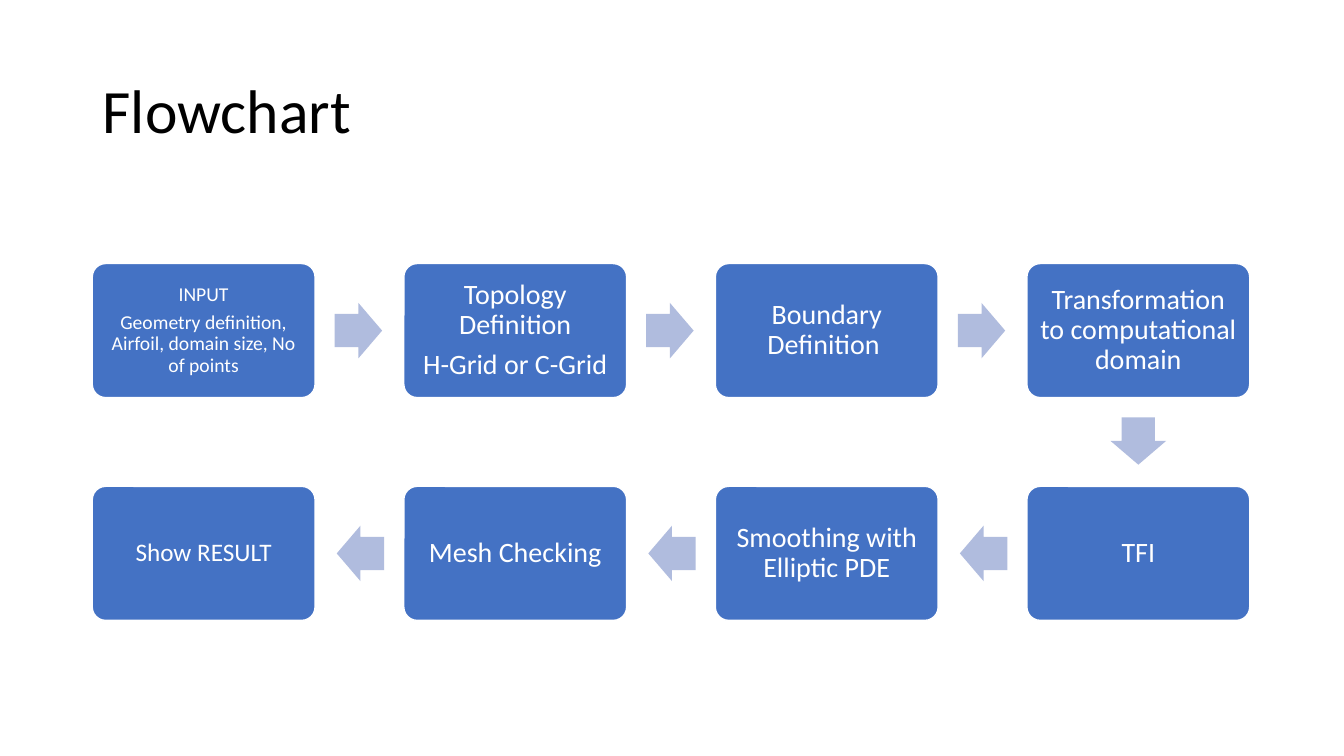
from dataclasses import dataclass

from pptx import Presentation
from pptx import util as u
from pptx.dml.color import RGBColor
from pptx.enum import shapes, text


@dataclass(frozen=True)
class Theme:
    font: str = "Calibri"
    ink: str = "000000"
    paper: str = "FFFFFF"
    box: str = "4472C4"
    arrow: str = "B0BCDE"
    title: int = 44
    large: int = 20
    mid: int = 18
    small: int = 14


def write(frame, lines, *, font, size, color, align, pad=(0.1, 0.05)):
    """Fill a text frame with one paragraph per line."""
    frame.word_wrap = True
    frame.vertical_anchor = text.MSO_ANCHOR.MIDDLE
    frame.margin_left = frame.margin_right = u.Inches(pad[0])
    frame.margin_top = frame.margin_bottom = u.Inches(pad[1])
    for i, line in enumerate(lines):
        para = frame.add_paragraph() if i else frame.paragraphs[0]
        para.alignment = align
        para.line_spacing = 0.9
        para.space_before = u.Pt(0.35 * size if i else 0)
        run = para.add_run()
        run.text = line
        run.font.name = font
        run.font.size = u.Pt(size)
        run.font.color.rgb = RGBColor.from_string(color)


class Chart:
    """A flowchart on a grid; steps sit at the centre of (column, row)."""
    START = (2.02, 3.28)   # centre of the first step
    PITCH = (3.09, 2.21)   # column and row distance
    BOX = (2.21, 1.33)
    ARROW = (0.47, 0.55)
    LAG = 0.01             # arrows sit slightly nearer their source

    def __init__(self, slide, theme):
        self.slide, self.theme = slide, theme

    def spot(self, cell):
        return [s + p * c for s, p, c in zip(self.START, self.PITCH, cell)]

    def shape(self, kind, mid, size, fill, adjust):
        left, top = (m - s / 2 for m, s in zip(mid, size))
        item = self.slide.shapes.add_shape(
            kind, *(u.Inches(n) for n in (left, top, *size)))
        item.shadow.inherit = False
        item.fill.solid()
        item.fill.fore_color.rgb = RGBColor.from_string(fill)
        item.line.fill.background()
        for i, value in enumerate(adjust):
            item.adjustments[i] = value
        return item

    def title(self, words):
        box = self.slide.shapes.add_textbox(
            *(u.Inches(n) for n in (0.92, 0.4, 11.5, 1.45)))
        t = self.theme
        write(box.text_frame, [words], font=t.font, size=t.title,
              color=t.ink, align=text.PP_ALIGN.LEFT)

    def step(self, cell, lines, size):
        t = self.theme
        box = self.shape(shapes.MSO_SHAPE.ROUNDED_RECTANGLE, self.spot(cell),
                         self.BOX, t.box, [0.1])
        box.line.color.rgb = RGBColor.from_string(t.paper)
        box.line.width = u.Pt(1)
        pad = size * 0.004
        write(box.text_frame, lines, font=t.font, size=size, color=t.paper,
              align=text.PP_ALIGN.CENTER, pad=(pad, pad))

    def arrow(self, start, end):
        way = (end[0] - start[0], end[1] - start[1])
        mid = [(a + b) / 2 - self.LAG * w for a, b, w in
               zip(self.spot(start), self.spot(end), way)]
        item = self.shape(shapes.MSO_SHAPE.RIGHT_ARROW, mid, self.ARROW,
                          self.theme.arrow, [0.6, 0.5])
        item.rotation = {(1, 0): 0, (0, 1): 90, (-1, 0): 180}[way]


def main():
    deck = Presentation()
    deck.slide_width, deck.slide_height = u.Inches(13.33), u.Inches(7.5)
    theme = Theme()
    chart = Chart(deck.slides.add_slide(deck.slide_layouts[6]), theme)

    # Heading
    chart.title("Flowchart")

    # Steps in order of flow
    steps = [
        (["INPUT", "Geometry definition, Airfoil, domain size, No of points"],
         theme.small),
        (["Topology Definition", "H-Grid or C-Grid"], theme.large),
        (["Boundary Definition "], theme.large),
        (["Transformation to computational domain"], theme.large),
        (["TFI"], theme.large),
        (["Smoothing with Elliptic PDE"], theme.large),
        (["Mesh Checking"], theme.large),
        (["Show RESULT"], theme.mid),
    ]

    # Route: right along the top row, back along the bottom row
    cells = [(c, 0) for c in range(4)] + [(c, 1) for c in reversed(range(4))]
    for cell, (lines, size) in zip(cells, steps):
        chart.step(cell, lines, size)
    for start, end in zip(cells, cells[1:]):
        chart.arrow(start, end)

    deck.save("out.pptx")


if __name__ == "__main__":
    main()
